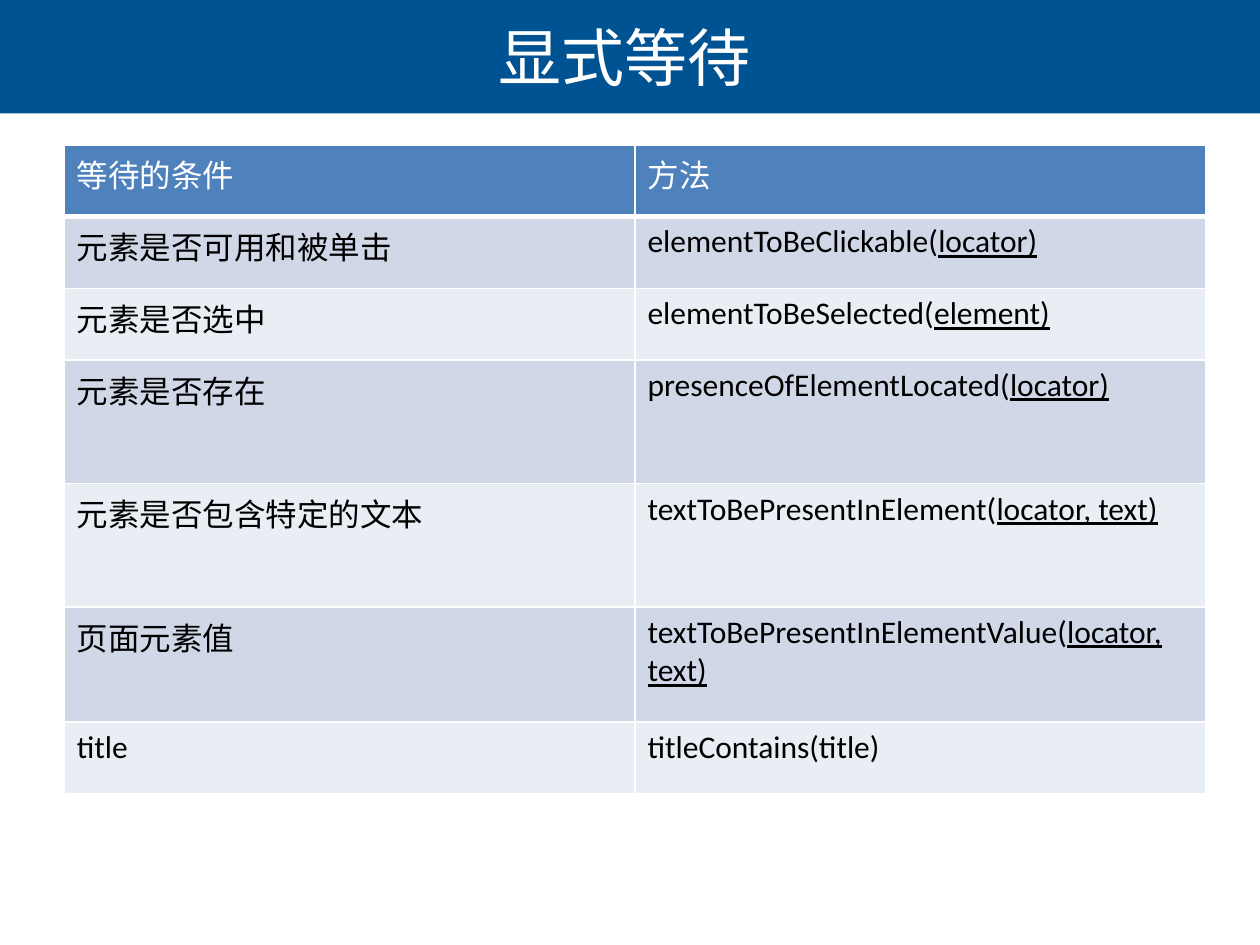
from lxml.etree import SubElement
from pptx import Presentation
from pptx.dml.color import RGBColor
from pptx.enum.shapes import MSO_SHAPE as Shape
from pptx.enum.text import MSO_ANCHOR as Anchor, PP_ALIGN as Align
from pptx.oxml.ns import qn
from pptx.util import Inches, Pt

COLORS = {
    "banner": "005392",
    "header": "4F81BD",
    "band_dark": "D0D8E8",
    "band_light": "E9EDF4",
    "white": "FFFFFF",
    "black": "000000",
}
LATIN_FONT = "Calibri"
CHINESE_FONT = "Noto Sans CJK SC"
HEADINGS = ("等待的条件", "方法")
CONDITIONS = [
    ("元素是否可用和被单击", "elementToBeClickable(", "locator)", 0.57),
    ("元素是否选中", "elementToBeSelected(", "element)", 0.57),
    ("元素是否存在", "presenceOfElementLocated(", "locator)", 0.98),
    ("元素是否包含特定的文本", "textToBePresentInElement(", "locator, text)", 0.98),
    ("页面元素值", "textToBePresentInElementValue(", "locator, text)", 0.91),
    ("title", "titleContains(title)", "", 0.57),
]
HEADER_HEIGHT = 0.57


def rgb(name):
    """Return the named colour."""
    return RGBColor.from_string(COLORS[name])


def add_text(paragraph, text, size=18, color="black", font=LATIN_FONT, underline=False):
    """Add one formatted run to a paragraph."""
    run = paragraph.add_run()
    run.text = text
    run.font.size = Pt(size)
    run.font.bold = False
    run.font.underline = underline
    run.font.color.rgb = rgb(color)
    run.font.name = font
    SubElement(run.font._element, qn("a:ea"), typeface=CHINESE_FONT)


def add_banner(slide, left, top, width, height):
    """Draw the title banner and its centred title."""
    banner = slide.shapes.add_shape(
        Shape.RECTANGLE, Inches(left), Inches(top), Inches(width), Inches(height)
    )
    banner.shadow.inherit = False
    banner.fill.solid()
    banner.fill.fore_color.rgb = rgb("banner")
    banner.line.fill.background()

    title = slide.shapes.add_textbox(
        Inches(left + 0.02), Inches(top), Inches(width - 0.13), Inches(height)
    )
    frame = title.text_frame
    frame.word_wrap = True
    frame.vertical_anchor = Anchor.MIDDLE
    paragraph = frame.paragraphs[0]
    paragraph.alignment = Align.CENTER
    add_text(paragraph, "显式等待", size=36, color="white", font=CHINESE_FONT)


def style_cell(cell, fill, bottom=1):
    """Give a cell white borders and a solid fill."""
    properties = cell._tc.get_or_add_tcPr()
    for side, points in (("L", 1), ("R", 1), ("T", 1), ("B", bottom)):
        line = SubElement(properties, qn(f"a:ln{side}"), w=str(Pt(points)))
        solid = SubElement(line, qn("a:solidFill"))
        SubElement(solid, qn("a:srgbClr"), val=COLORS["white"])
    cell.fill.solid()
    cell.fill.fore_color.rgb = rgb(fill)


def add_conditions_table(slide, left, top, width):
    """Draw the table of wait conditions and their methods."""
    heights = [HEADER_HEIGHT] + [condition[-1] for condition in CONDITIONS]
    table = slide.shapes.add_table(
        len(heights), len(HEADINGS),
        Inches(left), Inches(top), Inches(width), Inches(sum(heights)),
    ).table
    table.first_row = False
    table.horz_banding = False
    for column in table.columns:
        column.width = Inches(width / len(HEADINGS))
    for row, height in zip(table.rows, heights):
        row.height = Inches(height)

    for cell, heading in zip(table.rows[0].cells, HEADINGS):
        style_cell(cell, "header", bottom=3)
        add_text(cell.text_frame.paragraphs[0], heading, color="white")

    for index, (condition, method, arguments, _) in enumerate(CONDITIONS, start=1):
        name_cell, method_cell = table.rows[index].cells
        for cell, text in ((name_cell, condition), (method_cell, method)):
            style_cell(cell, "band_dark" if index % 2 else "band_light")
            add_text(cell.text_frame.paragraphs[0], text)
        if arguments:
            add_text(method_cell.text_frame.paragraphs[0], arguments, underline=True)


def main():
    """Build and save the presentation."""
    presentation = Presentation()
    presentation.slide_width = Inches(10)
    presentation.slide_height = Inches(7.5)
    slide = presentation.slides.add_slide(presentation.slide_layouts[6])
    add_banner(slide, 0, 0, 10, 0.9)
    add_conditions_table(slide, 0.51, 1.15, 9.06)
    presentation.save("out.pptx")


if __name__ == "__main__":
    main()
